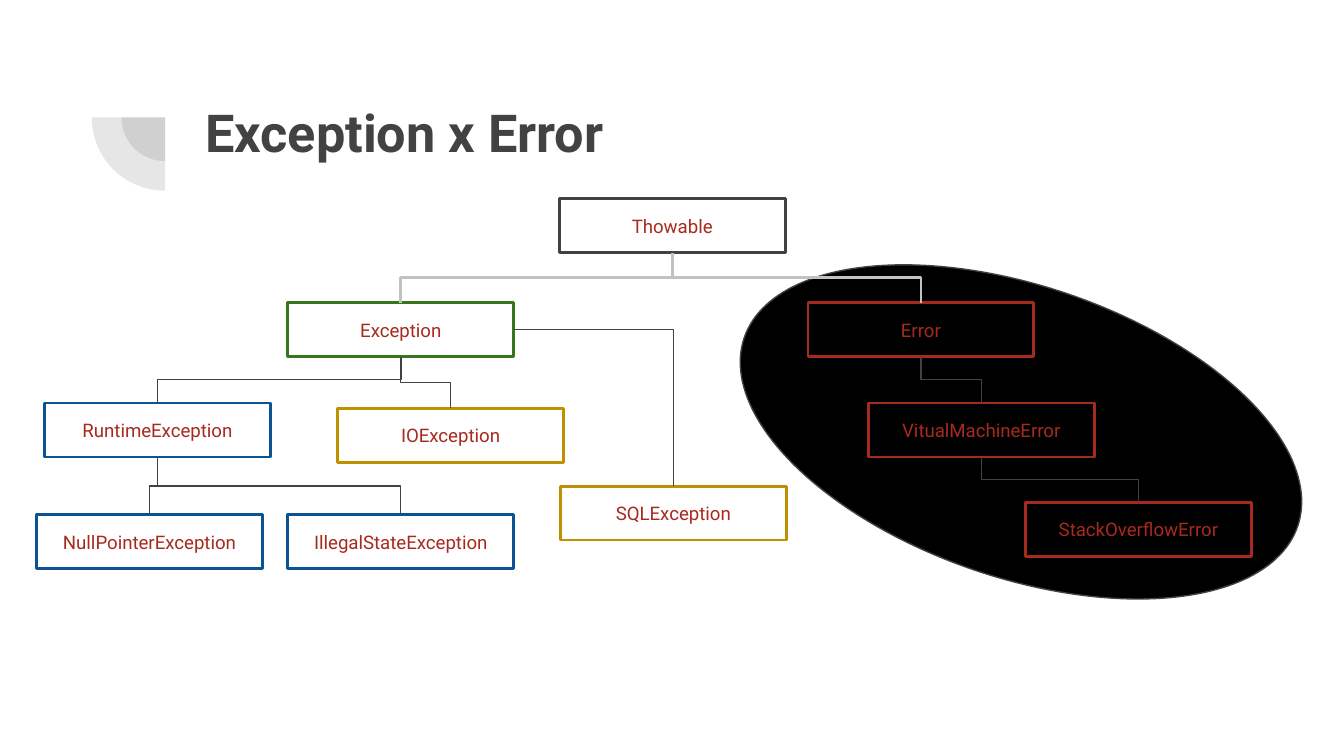
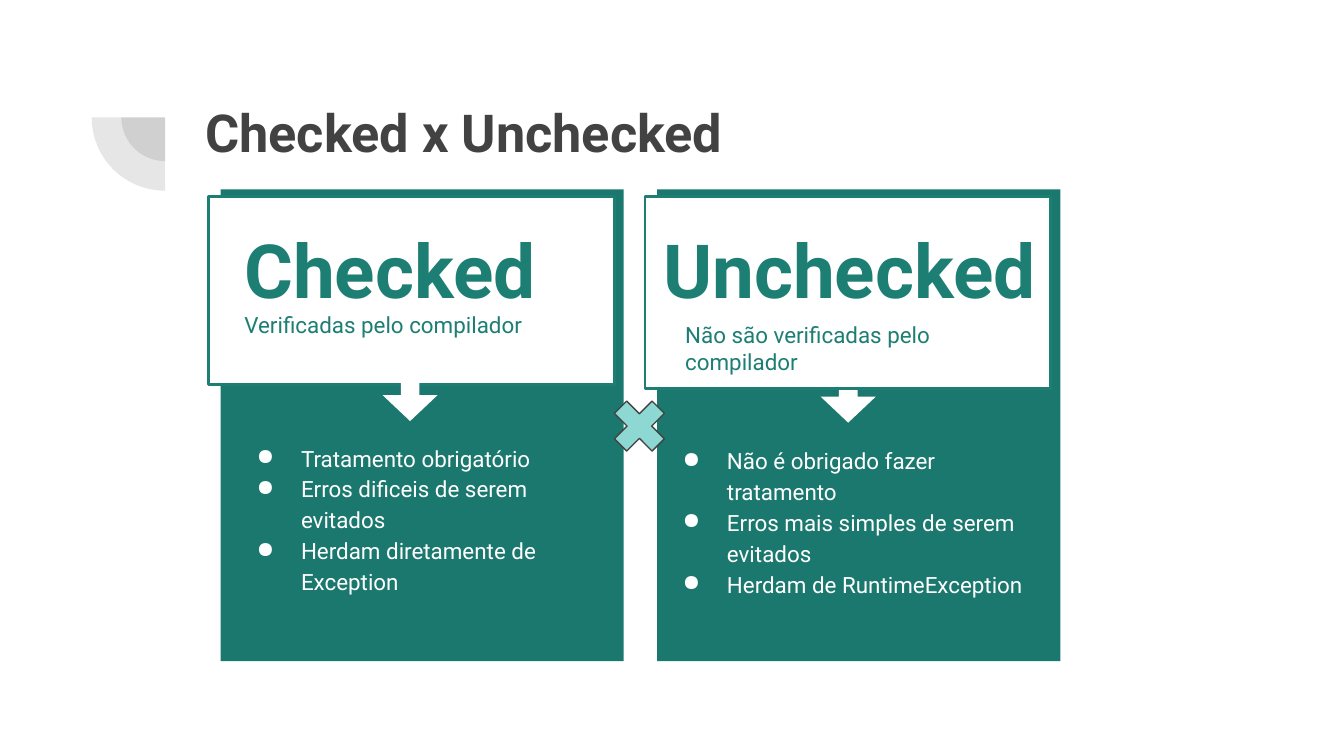
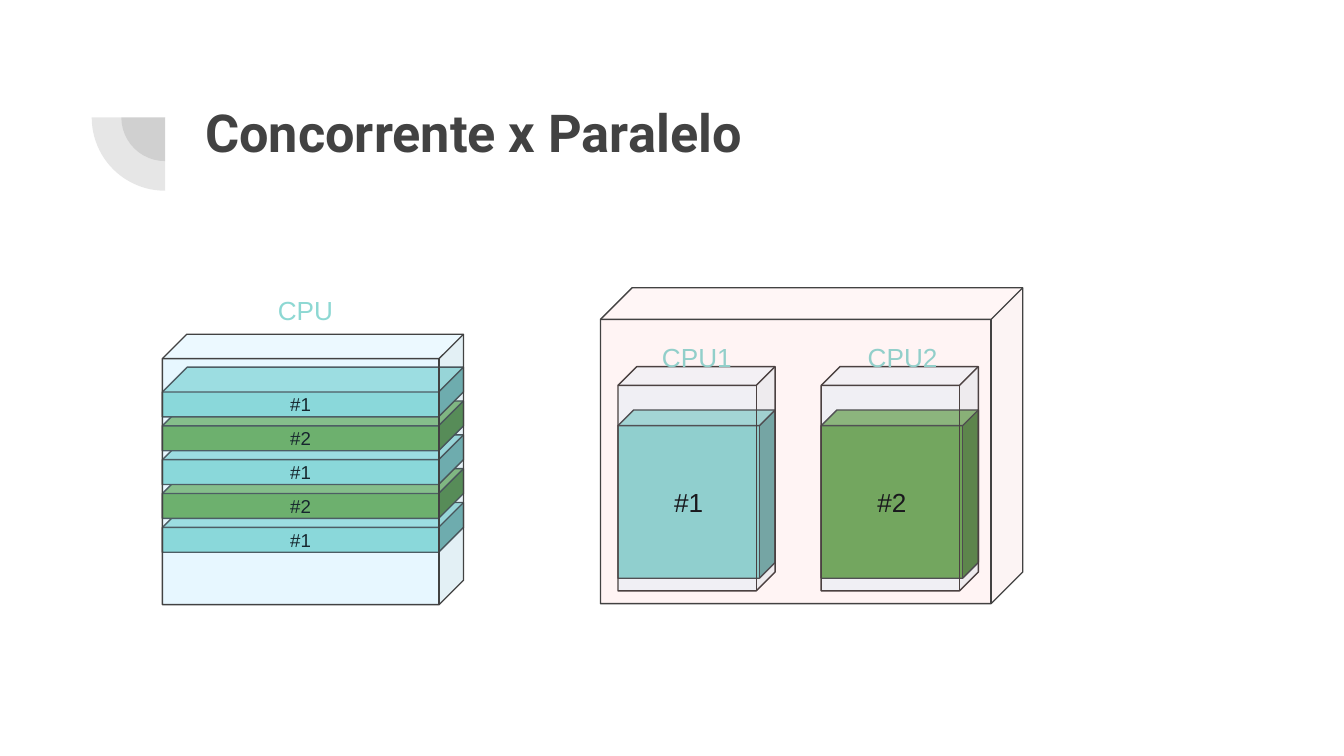
"""Build three slides on exceptions and on concurrent versus parallel work."""
from lxml import etree
from pptx import Presentation
from pptx.dml.color import RGBColor
from pptx.enum import shapes, text
from pptx.oxml import ns
from pptx.util import Cm, Pt

KIND = shapes.MSO_SHAPE
DARK = RGBColor(0x42, 0x42, 0x42)
SILVER = RGBColor(0xC2, 0xC2, 0xC2)
BLACK = RGBColor(0, 0, 0)
WHITE = RGBColor(0xFF, 0xFF, 0xFF)
RED = RGBColor(0xA7, 0x2A, 0x1E)
GREEN = RGBColor(0x38, 0x76, 0x1D)
BLUE = RGBColor(0x0B, 0x53, 0x94)
GOLD = RGBColor(0xBF, 0x90, 0x00)
PANEL = RGBColor(0x1B, 0x78, 0x6E)
TEAL = RGBColor(0x1D, 0x7E, 0x74)
AQUA = RGBColor(0x8D, 0xD8, 0xD3)
LEAF = RGBColor(0x6A, 0xA8, 0x4F)
GLASS = RGBColor(0x7F, 0xD8, 0xFF)
ROSE = RGBColor(0xFF, 0x34, 0x34)
BODY, PLAIN = "Roboto", "Arial"
INSET = 0.25

PIE_CENTRE = (3.12, 2.22)
PIE_SIZES = (1.65, 2.77)

NODE_SIZE = (4.27, 1.02)
NODES = {
    "Thowable": (10.57, 3.76, DARK),
    "Exception": (5.44, 5.72, GREEN),
    "Error": (15.27, 5.72, RED),
    "RuntimeException": (0.84, 7.62, BLUE),
    "NullPointerException": (0.69, 9.73, BLUE),
    "IllegalStateException": (5.44, 9.73, BLUE),
    "VitualMachineError": (16.41, 7.62, RED),
    "StackOverflowError": (19.38, 9.5, RED),
    "IOException": (6.38, 7.72, GOLD),
    "SQLException": (10.59, 9.19, GOLD),
}
CHILDREN = {
    "Thowable": ["Error", "Exception"],
    "Exception": ["RuntimeException", "IOException", "SQLException"],
    "RuntimeException": ["NullPointerException", "IllegalStateException"],
    "Error": ["VitualMachineError"],
    "VitualMachineError": ["StackOverflowError"],
}
SIDEWAYS = {"SQLException"}

PANELS = [
    dict(left=4.17, card=3.56, arrow=(7.32, 7.01), arrow_on_top=True,
         head="Checked", head_at=(4.37, 3.99, 6.81, 1.47),
         note="Verificadas pelo compilador", note_at=(4.37, 5.64, 6.81, 1.32),
         points=["Tratamento obrigatório", "Erros dificeis de serem evitados",
                 "Herdam diretamente de Exception"],
         points_at=(4.17, 8.08, 7.62, 2.36)),
    dict(left=12.42, card=3.63, arrow=(15.6, 7.04), arrow_on_top=False,
         head="Unchecked", head_at=(12.29, 3.99, 7.85, 2.01),
         note="Não são verificadas pelo compilador", note_at=(12.7, 5.82, 6.81, 1.8),
         points=["Não é obrigado fazer tratamento", "Erros mais simples de serem evitados",
                 "Herdam de RuntimeException"],
         points_at=(12.22, 8.13, 7.62, 2.36)),
]

TASKS = {"#1": AQUA, "#2": LEAF}
TIME_SLICES = ["#1", "#2", "#1", "#2", "#1"]
CORES = [("CPU1", "#1", 11.68, 2.26), ("CPU2", "#2", 15.52, 2.36)]


def child(parent, tag, **attrs):
    """Append an XML element with the given attributes."""
    return etree.SubElement(parent, ns.qn(tag), attrs)


def write(tf, lines, size=10, font=BODY, color=DARK, bold=False, align=None,
          bullet=False, outline=False, margins=(INSET, INSET)):
    """Fill a text frame with one paragraph per line."""
    tf.word_wrap = True
    tf.margin_left = tf.margin_right = Cm(margins[0])
    tf.margin_top = tf.margin_bottom = Cm(margins[1])
    for i, line in enumerate(lines):
        p = tf.add_paragraph() if i else tf.paragraphs[0]
        p.alignment = align
        r = p.add_run()
        r.text = line
        r.font.size, r.font.name, r.font.bold = Pt(size), font, bold
        r.font.color.rgb = color
        if bullet:
            p.line_spacing = 1.15
            pPr = p._p.get_or_add_pPr()
            pPr.set("marL", str(Cm(1.27)))
            pPr.set("indent", str(Cm(-0.84)))
            child(child(pPr, "a:buClr"), "a:srgbClr", val=str(color))
            child(pPr, "a:buChar", char="●")
        if outline:
            rPr = r._r.get_or_add_rPr()
            ln = child(rPr, "a:ln", w=str(Pt(0.75)))
            child(child(ln, "a:solidFill"), "a:srgbClr", val=str(DARK))
            rPr.insert(0, ln)


def add_text(s, at, lines, **fmt):
    """Add a text box."""
    write(s.shapes.add_textbox(*map(Cm, at)).text_frame, lines, **fmt)


def add_shape(s, kind, at, fill=None, line=None, width=0.75, alpha=None, adj=(), rot=0):
    """Add a preset shape without shadow."""
    sp = s.shapes.add_shape(kind, *map(Cm, at))
    sp.shadow.inherit = False
    sp.rotation = rot
    for i, value in enumerate(adj):
        sp.adjustments[i] = value
    if fill is None:
        sp.fill.background()
    else:
        sp.fill.solid()
        sp.fill.fore_color.rgb = fill
    if alpha is not None:
        clr = sp._element.spPr.find(ns.qn("a:solidFill"))[0]
        child(clr, "a:alpha", val=str(alpha * 1000))
    if line is None:
        sp.line.fill.background()
    else:
        sp.line.color.rgb, sp.line.width = line, Pt(width)
    return sp


def add_cube(s, at, fill, adj, alpha=None, label=None, size=10):
    """Add an outlined cube with an optional centred label."""
    sp = add_shape(s, KIND.CUBE, at, fill, DARK, alpha=alpha, adj=(adj,))
    if label:
        write(sp.text_frame, [label], size=size, font=PLAIN, color=BLACK,
              align=text.PP_ALIGN.CENTER)


def add_cpu_label(s, at, label):
    """Add the outlined name of a processor."""
    add_text(s, at, [label], size=14, font=PLAIN, color=AQUA, outline=True,
             align=text.PP_ALIGN.CENTER, margins=(INSET, 0.13))


def add_elbow(s, parent, kid, color, width, sideways):
    """Join the parent's bottom or right side to the child's top."""
    c = s.shapes.add_connector(shapes.MSO_CONNECTOR.ELBOW, 0, 0, 0, 0)
    c.begin_connect(parent, 3 if sideways else 2)
    c.end_connect(kid, 0)
    c.line.color.rgb, c.line.width = color, Pt(width)
    spPr = c._element.spPr
    child(spPr, "a:effectLst")
    if sideways:
        spPr.find(ns.qn("a:prstGeom")).set("prst", "bentConnector2")
        return
    dx, dy = c.end_x - c.begin_x, c.end_y - c.begin_y
    mid_x, mid_y = (c.begin_x + c.end_x) // 2, (c.begin_y + c.end_y) // 2
    c.left, c.top = mid_x - dy // 2, mid_y - abs(dx) // 2
    c.width, c.height = dy, abs(dx)
    xfrm = spPr.find(ns.qn("a:xfrm"))
    xfrm.set("rot", str((270 if dx > 0 else 90) * 60000))
    xfrm.set("flipH", "1" if dx > 0 else "0")


def add_slide(prs, title, width, height):
    """Add a slide with its title."""
    s = prs.slides.add_slide(prs.slide_layouts[5])
    sp = s.shapes.title
    sp.left, sp.top, sp.width, sp.height = map(Cm, (3.63, 1.65, width, height))
    tf = sp.text_frame
    tf.auto_size = text.MSO_AUTO_SIZE.NONE
    tf.vertical_anchor = text.MSO_ANCHOR.TOP
    write(tf, [title], size=28, bold=True, align=text.PP_ALIGN.LEFT)
    return s


def decorate_layout(s):
    """Give the slide's layout its two quarter circles."""
    for i, size in enumerate(PIE_SIZES):
        at = [centre - size / 2 for centre in PIE_CENTRE] + [size, size]
        sp = add_shape(s, KIND.PIE, at, DARK, alpha=13, adj=(107.93, 162), rot=270)
        sp._element.nvSpPr.cNvPr.set("id", str(20 + i))
        s.slide_layout.shapes._spTree.append(sp._element)


def draw_hierarchy(s):
    """Draw the tree of throwable classes."""
    add_shape(s, KIND.OVAL, (13.77, 5.41, 11.05, 5.51), BLACK, DARK, rot=18.8)
    boxes = {}
    for name, (left, top, color) in NODES.items():
        sp = add_shape(s, KIND.RECTANGLE, (left, top, *NODE_SIZE), line=color, width=1.5)
        write(sp.text_frame, [name], color=RED, align=text.PP_ALIGN.CENTER)
        boxes[name] = sp
    for parent, kids in CHILDREN.items():
        color, width = (SILVER, 1.5) if parent == "Thowable" else (DARK, 0.75)
        for kid in kids:
            add_elbow(s, boxes[parent], boxes[kid], color, width, kid in SIDEWAYS)


def draw_panel(s, panel):
    """Draw one side of the comparison."""
    left = panel["left"]
    card = (KIND.RECTANGLE, (left - 0.23, 3.71, 7.67, panel["card"]), WHITE, TEAL, 1.5)
    arrow = (KIND.RIGHT_ARROW, (*panel["arrow"], 0.86, 1.04), WHITE)
    add_shape(s, KIND.RECTANGLE, (left, 3.58, 7.62, 8.92), PANEL)
    if panel["arrow_on_top"]:
        add_shape(s, *card)
    add_shape(s, *arrow, adj=(0.34, 0.57), rot=90)
    if not panel["arrow_on_top"]:
        add_shape(s, *card)
    add_text(s, panel["head_at"], [panel["head"]], size=40, color=TEAL, bold=True)
    add_text(s, panel["note_at"], [panel["note"]], size=12, color=TEAL)
    add_text(s, panel["points_at"], panel["points"], size=12, color=WHITE, bullet=True)


def draw_concurrent(s):
    """Draw one processor sharing its time, from the bottom slice up."""
    for i, task in enumerate(TIME_SLICES):
        add_cube(s, (3.07, 9.5 - 0.64 * i, 5.69, 0.94), TASKS[task], 0.5, label=task)
    add_cube(s, (3.07, 6.32, 5.69, 5.11), GLASS, 0.09, alpha=18)
    add_cpu_label(s, (4.29, 5.44, 2.97, 1.12), "CPU")


def draw_parallel(s):
    """Draw two processors with one task each."""
    for name, task, left, label_width in CORES:
        add_cube(s, (left, 7.75, 2.97, 3.18), TASKS[task], 0.1, label=task, size=14)
        add_cube(s, (left, 6.93, 2.97, 4.24), GLASS, 0.12, alpha=11)
        add_cpu_label(s, (left + 0.36, 6.32, label_width, 0.69), name)
    add_cube(s, (11.35, 5.44, 7.98, 5.97), ROSE, 0.1, alpha=5)


def main():
    """Build and save the deck."""
    prs = Presentation()
    prs.slide_width, prs.slide_height = Cm(25.4), Cm(14.29)

    s = add_slide(prs, "Exception x Error", 9.19, 2.16)
    decorate_layout(s)
    draw_hierarchy(s)

    s = add_slide(prs, "Checked x Unchecked", 11.99, 2.29)
    for panel in PANELS:
        draw_panel(s, panel)
    add_shape(s, KIND.MATH_MULTIPLY, (11.4, 7.37, 1.37, 1.37), AQUA, DARK, adj=(0.24,))

    s = add_slide(prs, "Concorrente x Paralelo", 12.62, 4.42)
    draw_concurrent(s)
    draw_parallel(s)

    prs.save("out.pptx")


if __name__ == "__main__":
    main()
